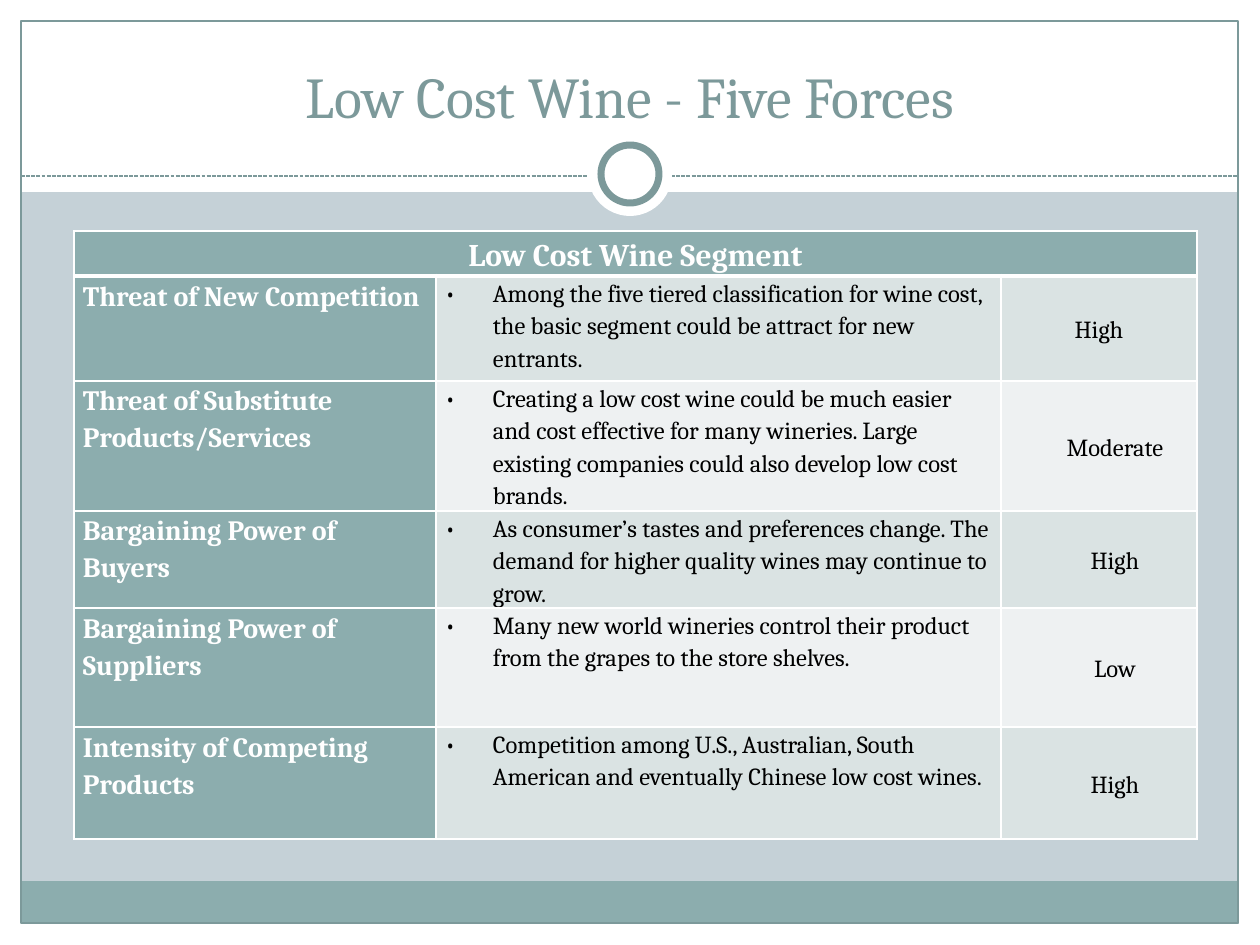
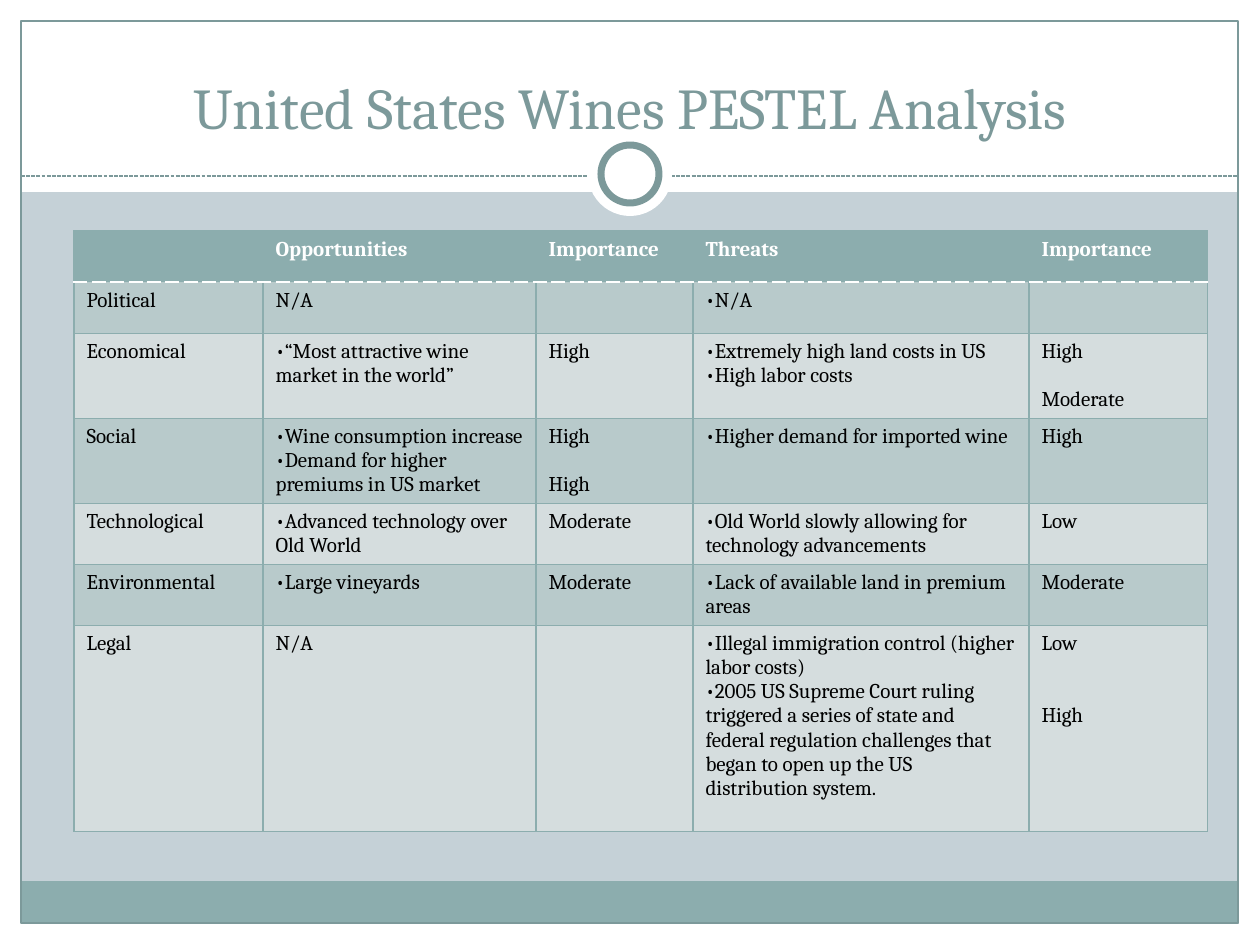
from dataclasses import dataclass
from typing import Any, NamedTuple

from lxml import etree
from pptx import Presentation
from pptx.dml.color import RGBColor
from pptx.enum.dml import MSO_LINE
from pptx.enum.shapes import MSO_CONNECTOR, MSO_SHAPE
from pptx.enum.text import MSO_ANCHOR, MSO_AUTO_SIZE, PP_ALIGN
from pptx.oxml.ns import qn
from pptx.util import Emu, Pt

RECT, OVAL = MSO_SHAPE.RECTANGLE, MSO_SHAPE.OVAL
STRAIGHT = MSO_CONNECTOR.STRAIGHT
LEFT, CENTER = PP_ALIGN.LEFT, PP_ALIGN.CENTER
TOP, MIDDLE, BOTTOM = MSO_ANCHOR.TOP, MSO_ANCHOR.MIDDLE, MSO_ANCHOR.BOTTOM
NO_FIT = MSO_AUTO_SIZE.NONE
SYS_DASH = MSO_LINE.SQUARE_DOT

EMU_PER_PX = 914400 / 126
SLIDE_W, SLIDE_H = 1260, 945
FONT = "Cambria"
COLORS = {
    "backdrop": "C5D1D7",
    "white": "FFFFFF",
    "black": "000000",
    "teal": "8CADAE",
    "accent": "7C999A",
    "force_odd": "DAE3E3",
    "force_even": "EEF1F2",
    "pestel_odd": "B8CACB",
    "pestel_even": "D5DDDE",
}


class Box(NamedTuple):
    left: int
    top: int
    width: int
    height: int


class Border(NamedTuple):
    color: str
    points: float
    dash: str = "solid"


@dataclass(frozen=True)
class FramePart:
    kind: Any
    box: Box
    fill: str | None = None
    line: str | None = None
    points: float = 0


@dataclass(frozen=True)
class Line:
    text: str
    bullet: bool = False
    gap: int = 0


@dataclass(frozen=True)
class Force:
    name: str
    reason: str
    rating: str
    rating_indent: int = 32


FRAME = [
    FramePart(RECT, Box(0, 924, SLIDE_W, 21), "white"),
    FramePart(RECT, Box(0, 0, SLIDE_W, 192), "white"),
    FramePart(RECT, Box(0, 0, 21, SLIDE_H), "white"),
    FramePart(RECT, Box(1239, 0, 21, SLIDE_H), "white"),
    FramePart(RECT, Box(21, 881, 1217, 43), "teal"),
    FramePart(RECT, Box(21, 21, 1217, 902), None, "accent", 0.75),
    FramePart(STRAIGHT, Box(21, 176, 1217, 0), None, "accent", 0.75),
    FramePart(OVAL, Box(588, 132, 84, 84), "white"),
    FramePart(OVAL, Box(601, 145, 58, 58), "white", "accent", 4),
]

FORCES = [
    Force("Threat of New Competition",
          "Among the five tiered classification for wine cost, the basic segment "
          "could be attract for new entrants.", "High", 0),
    Force("Threat of Substitute Products/Services",
          "Creating a low cost wine could be much easier and cost effective for many "
          "wineries. Large existing companies could also develop low cost brands.", "Moderate"),
    Force("Bargaining Power of Buyers",
          "As consumer’s tastes and preferences change. The demand for higher "
          "quality wines may continue to grow.", "High"),
    Force("Bargaining Power of Suppliers",
          "Many new world wineries control their product from the grapes to the "
          "store shelves.", "Low"),
    Force("Intensity of Competing Products",
          "Competition among U.S., Australian, South American and eventually "
          "Chinese low cost wines.", "High"),
]


def plain(text: str) -> list[Line]:
    return [Line(text)]


def points(*texts: str) -> list[Line]:
    return [Line(text, bullet=True) for text in texts]


def ratings(first: str, second: str, gap: int = 24) -> list[Line]:
    return [Line(first), Line(second, gap=gap)]


PESTEL_HEADINGS = ["", "Opportunities", "Importance", "Threats", "Importance"]
PESTEL = [
    [plain("Political"), plain("N/A"), [], points("N/A"), []],
    [plain("Economical"), points("“Most attractive wine market in the world”"), plain("High"),
     points("Extremely high land costs in US", "High labor costs"), ratings("High", "Moderate")],
    [plain("Social"),
     points("Wine consumption increase", "Demand for higher premiums in US market"),
     ratings("High", "High"), points("Higher demand for imported wine"), plain("High")],
    [plain("Technological"), points("Advanced technology over Old World"), plain("Moderate"),
     points("Old World slowly allowing for technology advancements"), plain("Low")],
    [plain("Environmental"), points("Large vineyards"), plain("Moderate"),
     points("Lack of available land in premium areas"), plain("Moderate")],
    [plain("Legal"), plain("N/A"), [],
     points("Illegal immigration control (higher labor costs)",
            "2005 US Supreme Court ruling triggered a series of state and federal regulation "
            "challenges that began to open up the US distribution system."),
     ratings("Low", "High", 48)],
]


def px(length: float) -> Emu:
    return Emu(round(length * EMU_PER_PX))


def rgb(name: str) -> RGBColor:
    return RGBColor.from_string(COLORS[name])


def write_text(text_frame: Any, lines: list[Line], *, size: float, color: str = "black",
               bold: bool = False, align: Any = LEFT, spacing: float = 1.0,
               indent: int = 0, hanging: int = 0) -> None:
    for index, line in enumerate(lines):
        paragraph = text_frame.paragraphs[0] if index == 0 else text_frame.add_paragraph()
        paragraph.alignment = align
        paragraph.line_spacing = spacing
        paragraph.space_before = px(line.gap)
        run = paragraph.add_run()
        run.text = line.text
        run.font.name = FONT
        run.font.size = Pt(size)
        run.font.bold = bold
        run.font.color.rgb = rgb(color)
        properties = paragraph._p.get_or_add_pPr()
        properties.set("marL", str(px(indent)))
        properties.set("indent", str(px(-hanging)))
        if line.bullet:
            etree.SubElement(properties, qn("a:buFont")).set("typeface", FONT)
            etree.SubElement(properties, qn("a:buChar")).set("char", "•")


def draw_part(slide: Any, part: FramePart) -> Any:
    left, top, width, height = part.box
    if part.kind is STRAIGHT:
        shape = slide.shapes.add_connector(STRAIGHT, px(left), px(top),
                                           px(left + width), px(top + height))
        etree.SubElement(shape.element.spPr, qn("a:effectLst"))
        shape.line.dash_style = SYS_DASH
    else:
        shape = slide.shapes.add_shape(part.kind, *map(px, part.box))
        shape.shadow.inherit = False
        if part.fill:
            shape.fill.solid()
            shape.fill.fore_color.rgb = rgb(part.fill)
        else:
            shape.fill.background()
    if part.line:
        shape.line.color.rgb = rgb(part.line)
        shape.line.width = Pt(part.points)
    else:
        shape.line.fill.background()
    return shape


def build_shared_frame(layout: Any, slide: Any) -> None:
    layout.background.fill.solid()
    layout.background.fill.fore_color.rgb = rgb("backdrop")
    for shape_id, part in enumerate(FRAME, start=100):
        element = draw_part(slide, part).element
        element.xpath(".//p:cNvPr")[0].set("id", str(shape_id))
        layout.shapes.element.append(element)


def set_title(slide: Any, text: str, box: Box) -> None:
    title = slide.shapes.title
    title.left, title.top, title.width, title.height = map(px, box)
    title.text_frame.word_wrap = True
    title.text_frame.auto_size = NO_FIT
    title.text_frame.vertical_anchor = BOTTOM
    write_text(title.text_frame, plain(text), size=33, color="accent", align=CENTER)


def add_grid(slide: Any, columns: list[int], rows: list[int]) -> Any:
    box = Box(74, 231, sum(columns), sum(rows))
    table = slide.shapes.add_table(len(rows), len(columns), *map(px, box)).table
    table.first_row = False
    table.horz_banding = False
    for column, width in zip(table.columns, columns):
        column.width = px(width)
    for row, height in zip(table.rows, rows):
        row.height = px(height)
    return table


def style_cell(cell: Any, fill: str, border: Border, *, top: Border | None = None,
               bottom: Border | None = None, anchor: Any = TOP) -> None:
    cell.fill.solid()
    cell.fill.fore_color.rgb = rgb(fill)
    cell.vertical_anchor = anchor
    properties = cell._tc.get_or_add_tcPr()
    sides = {"lnL": border, "lnR": border, "lnT": top or border, "lnB": bottom or border}
    for index, (tag, side) in enumerate(sides.items()):
        edge = etree.Element(qn(f"a:{tag}"), w=str(Pt(side.points)))
        solid = etree.SubElement(edge, qn("a:solidFill"))
        etree.SubElement(solid, qn("a:srgbClr")).set("val", COLORS[side.color])
        etree.SubElement(edge, qn("a:prstDash")).set("val", side.dash)
        properties.insert(index, edge)


def fill_forces(slide: Any) -> None:
    table = add_grid(slide, [362, 565, 196], [45, 105, 130, 97, 119, 112])
    thin, heavy = Border("white", 1), Border("white", 3)
    for row in range(len(FORCES) + 1):
        band = "force_odd" if row % 2 else "force_even"
        for column in range(3):
            cell = table.cell(row, column)
            style_cell(cell, "teal" if row == 0 or column == 0 else band, thin,
                       top=heavy if row == 1 else None, bottom=heavy if row == 0 else None,
                       anchor=MIDDLE if row == 0 or column == 2 else TOP)
            cell.margin_left = cell.margin_right = px(9)
            cell.margin_top = cell.margin_bottom = 0
    heading = table.cell(0, 0)
    heading.merge(table.cell(0, 2))
    write_text(heading.text_frame, plain("Low Cost Wine Segment"), size=18,
               color="white", bold=True, align=CENTER, spacing=1.15)
    for row, force in enumerate(FORCES, start=1):
        name, reason, rating = (table.cell(row, column).text_frame for column in range(3))
        write_text(name, plain(force.name), size=16, color="white", bold=True, spacing=1.15)
        write_text(reason, points(force.reason), size=14, spacing=1.15, indent=48, hanging=48)
        write_text(rating, plain(force.rating), size=14, align=CENTER, spacing=1.15,
                   indent=force.rating_indent)


def fill_pestel(slide: Any) -> None:
    table = add_grid(slide, [189, 273, 157, 336, 179], [51, 51, 85, 85, 61, 61, 206])
    thin, dashed = Border("teal", 0.75), Border("white", 0.9, "sysDash")
    for column, heading in enumerate(PESTEL_HEADINGS):
        cell = table.cell(0, column)
        style_cell(cell, "teal", thin, bottom=dashed)
        if heading:
            write_text(cell.text_frame, plain(heading), size=12, color="white", bold=True)
    for row, factor in enumerate(PESTEL, start=1):
        for column, lines in enumerate(factor):
            cell = table.cell(row, column)
            style_cell(cell, "pestel_odd" if row % 2 else "pestel_even", thin,
                       top=dashed if row == 1 else None)
            write_text(cell.text_frame, lines, size=12)


def main() -> None:
    deck = Presentation()
    deck.slide_width, deck.slide_height = px(SLIDE_W), px(SLIDE_H)
    layout = deck.slide_layouts[5]
    forces_slide, pestel_slide = (deck.slides.add_slide(layout) for _ in range(2))
    build_shared_frame(layout, forces_slide)
    set_title(forces_slide, "Low Cost Wine - Five Forces", Box(42, 31, 1176, 105))
    fill_forces(forces_slide)
    set_title(pestel_slide, "United States Wines PESTEL Analysis", Box(63, 42, 1134, 105))
    fill_pestel(pestel_slide)
    deck.save("out.pptx")


if __name__ == "__main__":
    main()
